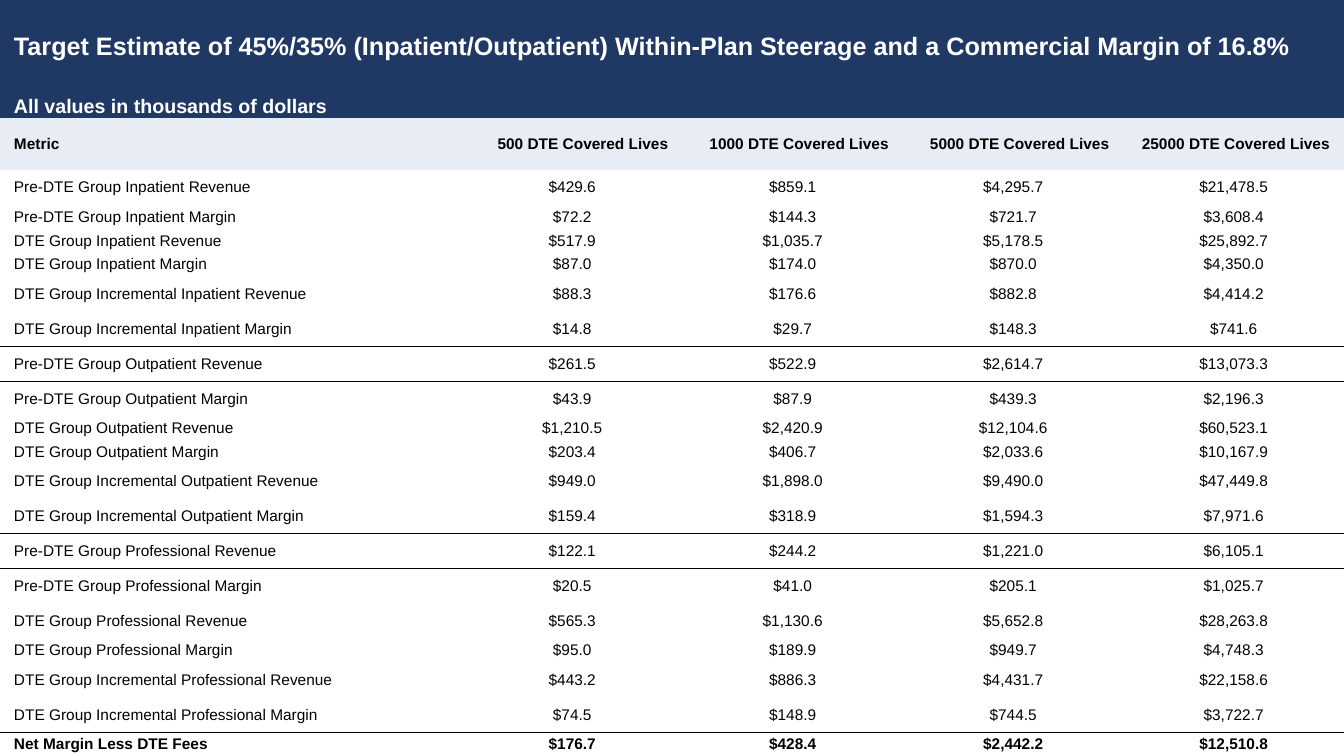
from dataclasses import dataclass

from lxml import etree
from pptx import Presentation
from pptx.dml.color import RGBColor
from pptx.enum.text import MSO_ANCHOR, PP_ALIGN
from pptx.oxml.ns import qn
from pptx.util import Emu, Pt

LEFT, CENTER, RIGHT = PP_ALIGN.LEFT, PP_ALIGN.CENTER, PP_ALIGN.RIGHT
MIDDLE = MSO_ANCHOR.MIDDLE
EMU_PER_PX = 914400 // 144
SLIDE_WIDTH, SLIDE_HEIGHT = 1920, 1080
NO_STYLE_NO_GRID = "{2D5ABB26-0587-4C30-8999-92F81FD0307C}"


@dataclass(frozen=True)
class Theme:
    font: str = "Arial"
    navy: str = "203864"
    pale_blue: str = "E7ECF5"
    white: str = "FFFFFF"
    black: str = "000000"
    title_size: int = 18
    subtitle_size: int = 14
    body_size: int = 11
    rule_width: int = 1


THEME = Theme()
METRIC_WIDTH, VALUE_WIDTH = 660, 315
CELL_PADDING = 20
TITLE_HEIGHT, SUBTITLE_HEIGHT, HEADER_HEIGHT = 135, 34, 74
SHORT, TALL = 34, 50

TITLE = ("Target Estimate of 45%/35% (Inpatient/Outpatient) Within-Plan Steerage "
         "and a Commercial Margin of 16.8%")
SUBTITLE = "All values in thousands of dollars"
COVERED_LIVES = [500, 1000, 5000, 25000]
METRICS = ["Pre-DTE Group {} Revenue", "Pre-DTE Group {} Margin",
           "DTE Group {} Revenue", "DTE Group {} Margin",
           "DTE Group Incremental {} Revenue", "DTE Group Incremental {} Margin"]
# Each service has one (row height, values) pair per metric.
SERVICES = {
    "Inpatient": [
        (TALL, [429.6, 859.1, 4295.7, 21478.5]),
        (SHORT, [72.2, 144.3, 721.7, 3608.4]),
        (SHORT, [517.9, 1035.7, 5178.5, 25892.7]),
        (SHORT, [87.0, 174.0, 870.0, 4350.0]),
        (TALL, [88.3, 176.6, 882.8, 4414.2]),
        (TALL, [14.8, 29.7, 148.3, 741.6]),
    ],
    "Outpatient": [
        (TALL, [261.5, 522.9, 2614.7, 13073.3]),
        (TALL, [43.9, 87.9, 439.3, 2196.3]),
        (SHORT, [1210.5, 2420.9, 12104.6, 60523.1]),
        (SHORT, [203.4, 406.7, 2033.6, 10167.9]),
        (TALL, [949.0, 1898.0, 9490.0, 47449.8]),
        (TALL, [159.4, 318.9, 1594.3, 7971.6]),
    ],
    "Professional": [
        (TALL, [122.1, 244.2, 1221.0, 6105.1]),
        (TALL, [20.5, 41.0, 205.1, 1025.7]),
        (TALL, [565.3, 1130.6, 5652.8, 28263.8]),
        (SHORT, [95.0, 189.9, 949.7, 4748.3]),
        (TALL, [443.2, 886.3, 4431.7, 22158.6]),
        (TALL, [74.5, 148.9, 744.5, 3722.7]),
    ],
}
NET_MARGIN = [176.7, 428.4, 2442.2, 12510.8]


def px(length):
    return Emu(length * EMU_PER_PX)


def write_cell(cell, text, size=THEME.body_size, color=THEME.black,
               bold=False, align=LEFT, fill=None):
    cell.margin_left = cell.margin_right = px(CELL_PADDING)
    cell.margin_top = cell.margin_bottom = 0
    cell.vertical_anchor = MIDDLE
    if fill:
        cell.fill.solid()
        cell.fill.fore_color.rgb = RGBColor.from_string(fill)
    else:
        cell.fill.background()
    cell.text = text
    paragraph = cell.text_frame.paragraphs[0]
    paragraph.alignment = align
    paragraph.font.name = THEME.font
    paragraph.font.size = Pt(size)
    paragraph.font.bold = bold
    paragraph.font.color.rgb = RGBColor.from_string(color)


def write_row(table, row, label, texts, align=CENTER, **style):
    write_cell(table.cell(row, 0), label, **style)
    for column, text in enumerate(texts, start=1):
        write_cell(table.cell(row, column), text, align=align, **style)


def write_banner(table, row, text, size):
    """Write a navy row merged across every column."""
    banner = table.cell(row, 0)
    banner.merge(table.cell(row, len(table.columns) - 1))
    write_cell(banner, text, size, THEME.white, bold=True, fill=THEME.navy)


def draw_rule(table, row):
    """Draw the line between a row and the row above it."""
    for edge_row, edge in ((row - 1, "a:lnB"), (row, "a:lnT")):
        for cell in table.rows[edge_row].cells:
            line = etree.Element(qn(edge), w=str(Pt(THEME.rule_width)))
            solid_fill = etree.SubElement(line, qn("a:solidFill"))
            etree.SubElement(solid_fill, qn("a:srgbClr"), val=THEME.black)
            cell._tc.get_or_add_tcPr().insert(0, line)


def add_plain_table(slide, row_heights, column_widths):
    frame = slide.shapes.add_table(len(row_heights), len(column_widths), 0, 0,
                                   px(sum(column_widths)), px(sum(row_heights)))
    table = frame.table
    table.first_row = table.horz_banding = False
    table._tbl.tblPr.find(qn("a:tableStyleId")).text = NO_STYLE_NO_GRID
    for row, height in zip(table.rows, row_heights):
        row.height = px(height)
    for column, width in zip(table.columns, column_widths):
        column.width = px(width)
    return table


def dollars(values):
    return [f"${value:,.1f}" for value in values]


def main():
    presentation = Presentation()
    presentation.slide_width = px(SLIDE_WIDTH)
    presentation.slide_height = px(SLIDE_HEIGHT)
    slide = presentation.slides.add_slide(presentation.slide_layouts[6])

    metric_heights = [height for rows in SERVICES.values() for height, _ in rows]
    table = add_plain_table(
        slide,
        [TITLE_HEIGHT, SUBTITLE_HEIGHT, HEADER_HEIGHT, *metric_heights, SHORT],
        [METRIC_WIDTH] + [VALUE_WIDTH] * len(COVERED_LIVES))

    write_banner(table, 0, TITLE, THEME.title_size)
    write_banner(table, 1, SUBTITLE, THEME.subtitle_size)
    write_row(table, 2, "Metric",
              [f"{lives} DTE Covered Lives" for lives in COVERED_LIVES],
              align=RIGHT, bold=True, fill=THEME.pale_blue)

    row = 3
    for service, service_rows in SERVICES.items():
        for metric, (_, values) in zip(METRICS, service_rows):
            write_row(table, row, metric.format(service), dollars(values))
            row += 1
        draw_rule(table, row)
    write_row(table, row, "Net Margin Less DTE Fees", dollars(NET_MARGIN), bold=True)

    presentation.save("out.pptx")


if __name__ == "__main__":
    main()
